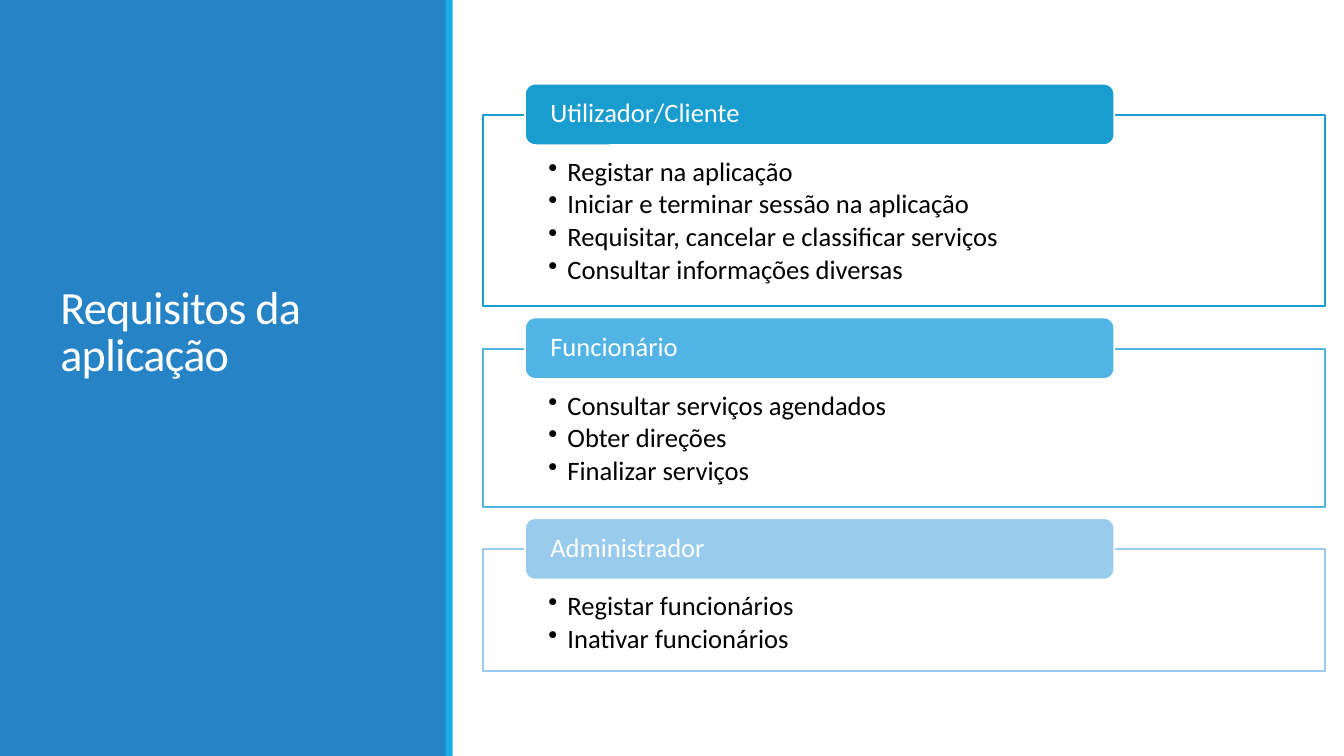
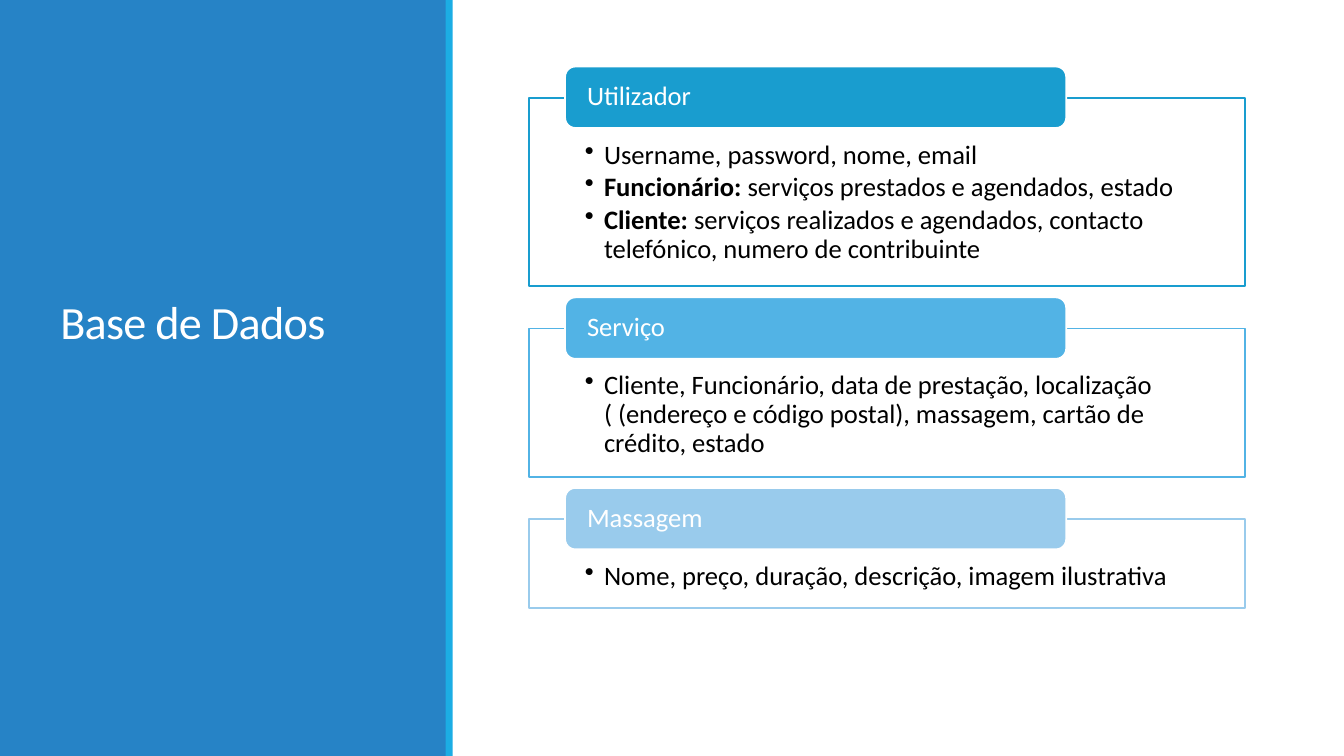
import pptx
import pptx.dml.color
import pptx.enum.shapes
import pptx.enum.text
import pptx.oxml.ns
import pptx.util
from lxml import etree

Inches, Pt = pptx.util.Inches, pptx.util.Pt
SHAPE = pptx.enum.shapes.MSO_SHAPE
ANCHOR = pptx.enum.text.MSO_ANCHOR

# Content: each section is heading, frame height, bullets; a bullet is a
# string or a (bold lead, rest) pair
SLIDES = [
    {
        "title": "Requisitos da aplicação", "title_bottom": 3.83,
        "left": 4.79, "top": 1.14, "width": 8.35,
        "sections": [
            ("Utilizador/Cliente", 1.9, [
                "Registar na aplicação",
                "Iniciar e terminar sessão na aplicação",
                "Requisitar, cancelar e classificar serviços",
                "Consultar informações diversas",
            ]),
            ("Funcionário", 1.57, [
                "Consultar serviços agendados",
                "Obter direções",
                "Finalizar serviços",
            ]),
            ("Administrador", 1.21, [
                "Registar funcionários",
                "Inativar funcionários",
            ]),
        ],
    },
    {
        "title": "Base de Dados", "title_bottom": 3.51,
        "left": 5.25, "top": 0.97, "width": 7.1,
        "sections": [
            ("Utilizador", 1.87, [
                "Username, password, nome, email",
                ("Funcionário: ", "serviços prestados e agendados, estado"),
                ("Cliente: ", "serviços realizados e agendados, contacto "
                              "telefónico, numero de contribuinte"),
            ]),
            ("Serviço", 1.47, [
                "Cliente, Funcionário, data de prestação, localização "
                "( (endereço e código postal), massagem, cartão de crédito, estado",
            ]),
            ("Massagem", 0.88, [
                "Nome, preço, duração, descrição, imagem ilustrativa",
            ]),
        ],
    },
]

# Shared style
FONT = "Calibri"
WHITE, BLACK = "FFFFFF", "000000"
PANEL, STRIPE = "2683C6", "1CADE4"
SECTION_COLORS = ["199DCF", "52B3E5", "99CBEC"]
TITLE_SIZE, BODY_SIZE = 33, 19
TITLE_TOP = 0.65
HEADING_HEIGHT, HEADING_RISE = 0.61, 0.31
SECTION_GAP = 0.42  # from one frame's bottom to the next frame's top
BULLET_INDENT = 0.19


def color(value):
    return pptx.dml.color.RGBColor.from_string(value)


def add_block(page, kind, left, top, width, height, fill, line=None):
    block = page.shapes.add_shape(
        kind, Inches(left), Inches(top), Inches(width), Inches(height))
    block.shadow.inherit = False
    block.fill.solid()
    block.fill.fore_color.rgb = color(fill)
    if line:
        block.line.color.rgb = color(line)
        block.line.width = Pt(1.25)
    else:
        block.line.fill.background()
    return block


def set_frame(box, anchor, side, top, bottom):
    frame = box.text_frame
    frame.word_wrap = True
    frame.vertical_anchor = anchor
    frame.margin_left = frame.margin_right = Inches(side)
    frame.margin_top, frame.margin_bottom = Inches(top), Inches(bottom)
    return frame


def style_para(para, spacing):
    para.alignment = pptx.enum.text.PP_ALIGN.LEFT
    para.line_spacing = spacing


def add_span(para, text, size, ink, bold=False):
    span = para.add_run()
    span.text = text
    span.font.name = FONT
    span.font.size = Pt(size)
    span.font.bold = bold
    span.font.color.rgb = color(ink)
    return span


def add_bullet(para):
    properties = para._p.get_or_add_pPr()
    properties.set("marL", str(Inches(BULLET_INDENT)))
    properties.set("indent", str(-Inches(BULLET_INDENT)))
    bullet = etree.SubElement(properties, pptx.oxml.ns.qn("a:buChar"))
    bullet.set("char", "•")


def add_side_panel(page, title, bottom):
    add_block(page, SHAPE.RECTANGLE, 0, 0, 4.43, 7.5, PANEL)
    add_block(page, SHAPE.RECTANGLE, 4.42, 0, 0.07, 7.5, STRIPE)
    box = page.shapes.add_textbox(
        Inches(0.5), Inches(TITLE_TOP), Inches(3.5), Inches(bottom - TITLE_TOP))
    para = set_frame(box, ANCHOR.BOTTOM, 0.1, 0.05, 0.05).paragraphs[0]
    style_para(para, 0.85)
    span = add_span(para, title, TITLE_SIZE, WHITE)
    span.font._element.set("spc", "-50")


def add_section(page, left, top, width, height, heading, bullets, accent):
    # Outlined frame with its bullets
    box = add_block(page, SHAPE.RECTANGLE, left, top, width, height, WHITE, accent)
    frame = set_frame(box, ANCHOR.TOP, width * 0.0776, 0.43, 0.15)
    for index, bullet in enumerate(bullets):
        para = frame.add_paragraph() if index else frame.paragraphs[0]
        add_bullet(para)
        style_para(para, 0.9)
        para.space_after = Pt(2.8)
        lead, rest = ("", bullet) if isinstance(bullet, str) else bullet
        if lead:
            add_span(para, lead, BODY_SIZE, BLACK, bold=True)
        add_span(para, rest, BODY_SIZE, BLACK)

    # Heading tab across the frame's top edge
    tab = add_block(page, SHAPE.ROUNDED_RECTANGLE, left + width * 0.05,
                    top - HEADING_RISE, width * 0.7, HEADING_HEIGHT, accent, WHITE)
    para = set_frame(tab, ANCHOR.MIDDLE, width * 0.0265, 0, 0).paragraphs[0]
    style_para(para, 0.9)
    add_span(para, heading, BODY_SIZE, WHITE)


def main():
    deck = pptx.Presentation()
    deck.slide_width, deck.slide_height = Inches(13.33), Inches(7.5)
    for content in SLIDES:
        page = deck.slides.add_slide(deck.slide_layouts[6])
        add_side_panel(page, content["title"], content["title_bottom"])
        top = content["top"]
        for (heading, height, bullets), accent in zip(content["sections"], SECTION_COLORS):
            add_section(page, content["left"], top, content["width"], height,
                        heading, bullets, accent)
            top += height + SECTION_GAP
    deck.save("out.pptx")


if __name__ == "__main__":
    main()
